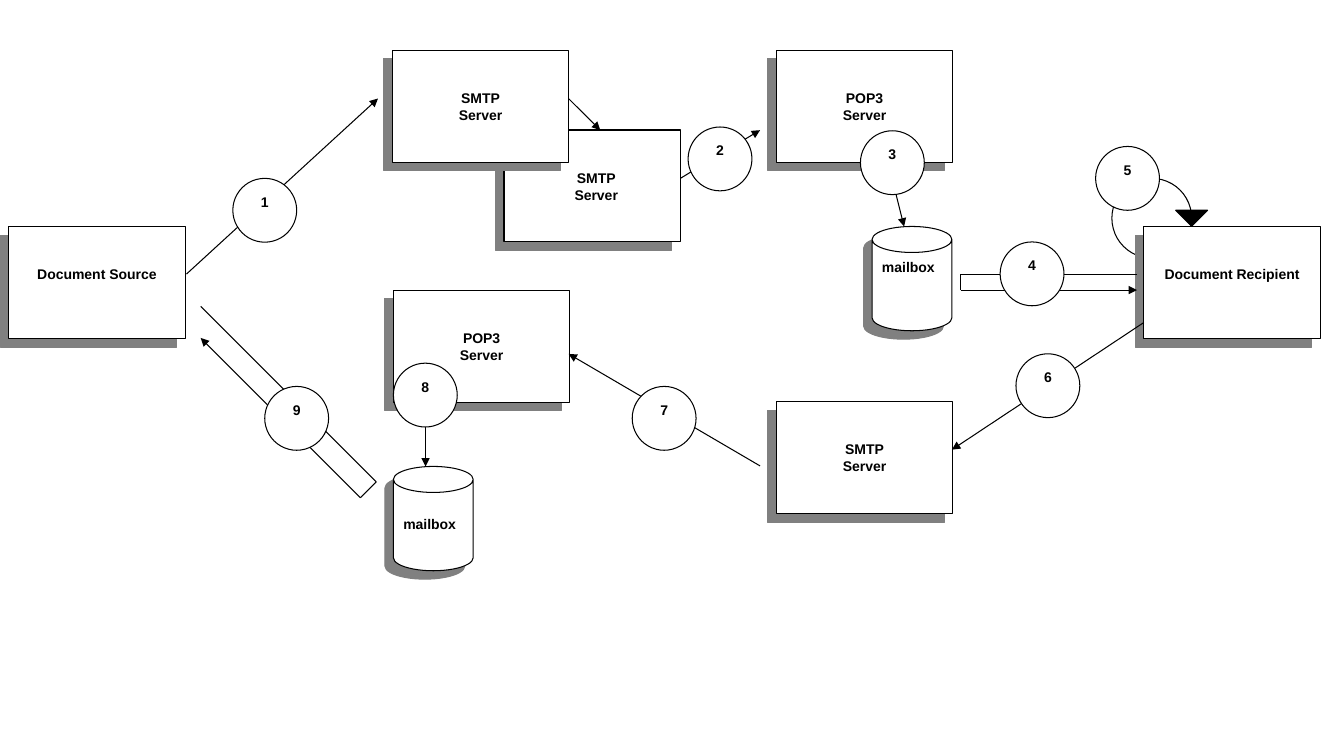
from dataclasses import dataclass
from itertools import pairwise

from lxml import etree
from pptx import Presentation
from pptx.dml.color import RGBColor
from pptx.enum.shapes import MSO_CONNECTOR, MSO_SHAPE
from pptx.enum.text import MSO_ANCHOR, PP_ALIGN
from pptx.oxml.ns import qn
from pptx.util import Pt

RECTANGLE, OVAL, CAN = MSO_SHAPE.RECTANGLE, MSO_SHAPE.OVAL, MSO_SHAPE.CAN
STRAIGHT = MSO_CONNECTOR.STRAIGHT
TOP = MSO_ANCHOR.TOP
LEFT, CENTER = PP_ALIGN.LEFT, PP_ALIGN.CENTER


@dataclass(frozen=True)
class Theme:
    ink: RGBColor = RGBColor(0, 0, 0)
    paper: RGBColor = RGBColor(255, 255, 255)
    shadow: str = "808080"
    font: str = "Arial"
    text_size: Pt = Pt(10)
    line_width: Pt = Pt(0.75)


theme = Theme()
presentation = Presentation()
presentation.slide_width, presentation.slide_height = Pt(960), Pt(540)
slide = presentation.slides.add_slide(presentation.slide_layouts[6])


def add_node(kind, left, top, width, height, text="", inset=0, align=CENTER, shift=0):
    """Add an outlined white shape; inset lowers its text, shift widens the left margin."""
    shape = slide.shapes.add_shape(kind, Pt(left), Pt(top), Pt(width), Pt(height))
    shape.fill.solid()
    shape.fill.fore_color.rgb = theme.paper
    shape.line.color.rgb = theme.ink
    shape.line.width = theme.line_width
    shape.shadow.inherit = False
    frame = shape.text_frame
    frame.word_wrap = True
    frame.vertical_anchor = TOP
    frame.margin_top, frame.margin_bottom = Pt(inset), Pt(0)
    frame.margin_left = Pt(7.2 + shift)
    frame.text = text
    for paragraph in frame.paragraphs:
        paragraph.alignment = align
        for run in paragraph.runs:
            run.font.name = theme.font
            run.font.size = theme.text_size
            run.font.bold = True
            run.font.color.rgb = theme.ink
    return shape


def add_hard_shadow(shape):
    effects = shape._element.spPr.find(qn("a:effectLst"))
    shadow = etree.SubElement(effects, qn("a:outerShdw"), dist=str(Pt(8.5)),
                              dir="8100000", algn="ctr", rotWithShape="0")
    etree.SubElement(shadow, qn("a:srgbClr"), val=theme.shadow)


# Loop at the recipient
add_node(OVAL, 794.2, 127.4, 57, 57)
builder = slide.shapes.build_freeform(Pt(839.8), Pt(150.2), scale=1.0)
builder.add_line_segments([(Pt(862.6), Pt(150.2)), (Pt(851.2), Pt(161.6))], close=True)
loop_head = builder.convert_to_shape()
loop_head.fill.solid()
loop_head.fill.fore_color.rgb = theme.ink
loop_head.line.color.rgb = theme.ink
loop_head.line.width = theme.line_width
loop_head.shadow.inherit = False

# Servers and parties: left, top, text, shift
boxes = [
    (360, 92.9, "SMTP\nServer", 5.6),
    (6.2, 162, "Document Source", 0),
    (817, 162, "Document Recipient", 0),
    (280.2, 36, "SMTP\nServer", 0),
    (554.5, 36, "POP3\nServer", 0),
    (281, 207.4, "POP3\nServer", 0),
    (554.5, 287, "SMTP\nServer", 0),
]
for left, top, text, shift in boxes:
    add_hard_shadow(add_node(RECTANGLE, left, top, 126, 80, text, 28, shift=shift))

# Mailboxes: left, top, text inset
for left, top, inset in [(622.9, 161.8, 4.3), (281, 333.2, 16.5)]:
    mailbox = add_node(CAN, left, top, 57, 74.5, "mailbox", inset, LEFT)
    mailbox.adjustments[0] = 0.326
    add_hard_shadow(mailbox)

# Each route ends in an arrowhead
routes = [
    [(133.2, 195.8), (270, 70.4)],
    [(486, 127.4), (542.9, 93)],
    [(406.1, 70.4), (428.8, 93)],
    [(634.3, 116), (645.8, 161.8)],
    [(812.2, 195.8), (686.2, 195.8), (686.2, 207.2), (812.2, 207.2)],
    [(817, 230.4), (680, 321.2)],
    [(542.9, 332.8), (406.2, 252.8)],
    [(304, 287.4), (304, 333.2)],
    [(143.4, 218.8), (268.8, 344.2), (257.4, 355.6), (143.4, 241.4)],
]
for route in routes:
    for start, end in pairwise(route):
        connector = slide.shapes.add_connector(STRAIGHT, *map(Pt, start + end))
        connector.line.color.rgb = theme.ink
        connector.line.width = theme.line_width
        etree.SubElement(connector._element.spPr, qn("a:effectLst"))
    etree.SubElement(connector.line._get_or_add_ln(), qn("a:tailEnd"), type="triangle")

# Step numbers
step_corners = [
    (166.3, 127.4), (491.5, 90.7), (614.6, 93.4),
    (714.4, 172.8), (782.6, 104.6), (725.7, 252.7),
    (451.6, 276), (281, 259.4), (189.1, 276),
]
for number, (left, top) in enumerate(step_corners, start=1):
    add_node(OVAL, left, top, 45.6, 45.6, str(number), 4)

presentation.save("out.pptx")
